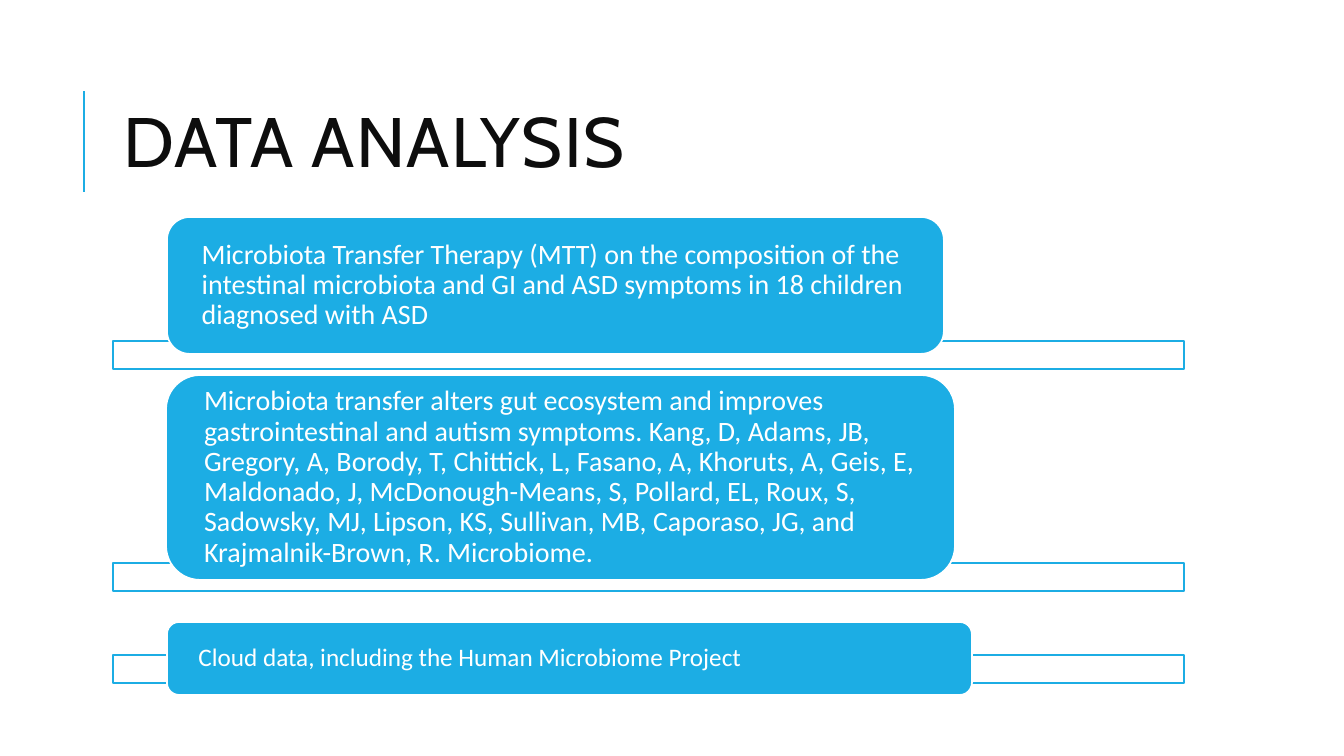
from lxml.etree import SubElement
from pptx import Presentation
from pptx.dml.color import RGBColor
from pptx.enum.shapes import MSO_CONNECTOR as Connector, MSO_SHAPE as Shape
from pptx.enum.text import MSO_ANCHOR as Anchor, PP_ALIGN as Align
from pptx.oxml.ns import qn
from pptx.util import Emu, Pt

PIXEL = 9072
BLUE, WHITE, INK = "1CADE4", "FFFFFF", "0D0D0D"


def color(value):
    return RGBColor.from_string(value)


def px(*lengths):
    return [Emu(length * PIXEL) for length in lengths]


def assign(target, formats):
    for name, value in formats.items():
        setattr(target, name, value)


class Deck:
    body_font = "Calibri"
    heading_font = "Cabin"
    outline = 1.25

    def __init__(self, width, height):
        self.presentation = Presentation()
        assign(self.presentation, dict(zip(("slide_width", "slide_height"), px(width, height))))
        self.slide = self.presentation.slides.add_slide(self.presentation.slide_layouts[6])

    def add_text(self, frame, text, font, size, ink, spacing, inset, after=0):
        side, edge = px(*inset)
        assign(frame, {"word_wrap": True, "vertical_anchor": Anchor.MIDDLE,
                       "margin_left": side, "margin_right": side,
                       "margin_top": edge, "margin_bottom": edge})
        paragraph = frame.paragraphs[0]
        assign(paragraph, {"alignment": Align.LEFT, "line_spacing": spacing,
                           "space_after": Pt(after)})
        run = paragraph.add_run()
        run.text = text
        assign(run.font, {"name": font, "size": Pt(size)})
        run.font.color.rgb = color(ink)
        return run

    def heading(self, box, text):
        frame = self.slide.shapes.add_textbox(*px(*box)).text_frame
        run = self.add_text(frame, text, self.heading_font, 50, INK, 0.8, (10, 5))
        run.font._element.set("spc", "100")

    def rule(self, start, end):
        line = self.slide.shapes.add_connector(Connector.STRAIGHT, *px(*start, *end))
        line.line.color.rgb = color(BLUE)
        line.line.width = Pt(1.5)
        SubElement(line._element.spPr, qn("a:effectLst"))

    def block(self, kind, box, fill, line):
        shape = self.slide.shapes.add_shape(kind, *px(*box))
        shape.shadow.inherit = False
        shape.fill.solid()
        shape.fill.fore_color.rgb = color(fill)
        shape.line.color.rgb = color(line)
        shape.line.width = Pt(self.outline)
        return shape

    def bar(self, box):
        shape = self.block(Shape.RECTANGLE, box, WHITE, BLUE)
        tint = shape._element.spPr.find(qn("a:solidFill"))[0]
        SubElement(tint, qn("a:alpha"), val="90000")

    def card(self, box, text, size):
        shape = self.block(Shape.ROUNDED_RECTANGLE, box, BLUE, WHITE)
        self.add_text(shape.text_frame, text, self.body_font, size, WHITE, 0.9, (28, 0), size * 0.35)


deck = Deck(1344, 756)
deck.rule((84, 192), (84, 91))
deck.heading((113, 65, 1071, 165), "DATA ANALYSIS")

findings = [
    (341, (167, 217, 777, 137), 20,
     "Microbiota Transfer Therapy (MTT) on the composition of the intestinal microbiota "
     "and GI and ASD symptoms in 18 children diagnosed with ASD"),
    (563, (166, 375, 789, 205), 20,
     "Microbiota transfer alters gut ecosystem and improves gastrointestinal and autism "
     "symptoms. Kang, D, Adams, JB, Gregory, A, Borody, T, Chittick, L, Fasano, A, "
     "Khoruts, A, Geis, E, Maldonado, J, McDonough-Means, S, Pollard, EL, Roux, S, "
     "Sadowsky, MJ, Lipson, KS, Sullivan, MB, Caporaso, JG, and Krajmalnik-Brown, R. "
     "Microbiome."),
    (655, (167, 622, 805, 73), 18, "Cloud data, including the Human Microbiome Project"),
]
for bar_top, card_box, text_size, finding in findings:
    deck.bar((113, bar_top, 1071, 28))
    deck.card(card_box, finding, text_size)

deck.presentation.save("out.pptx")
